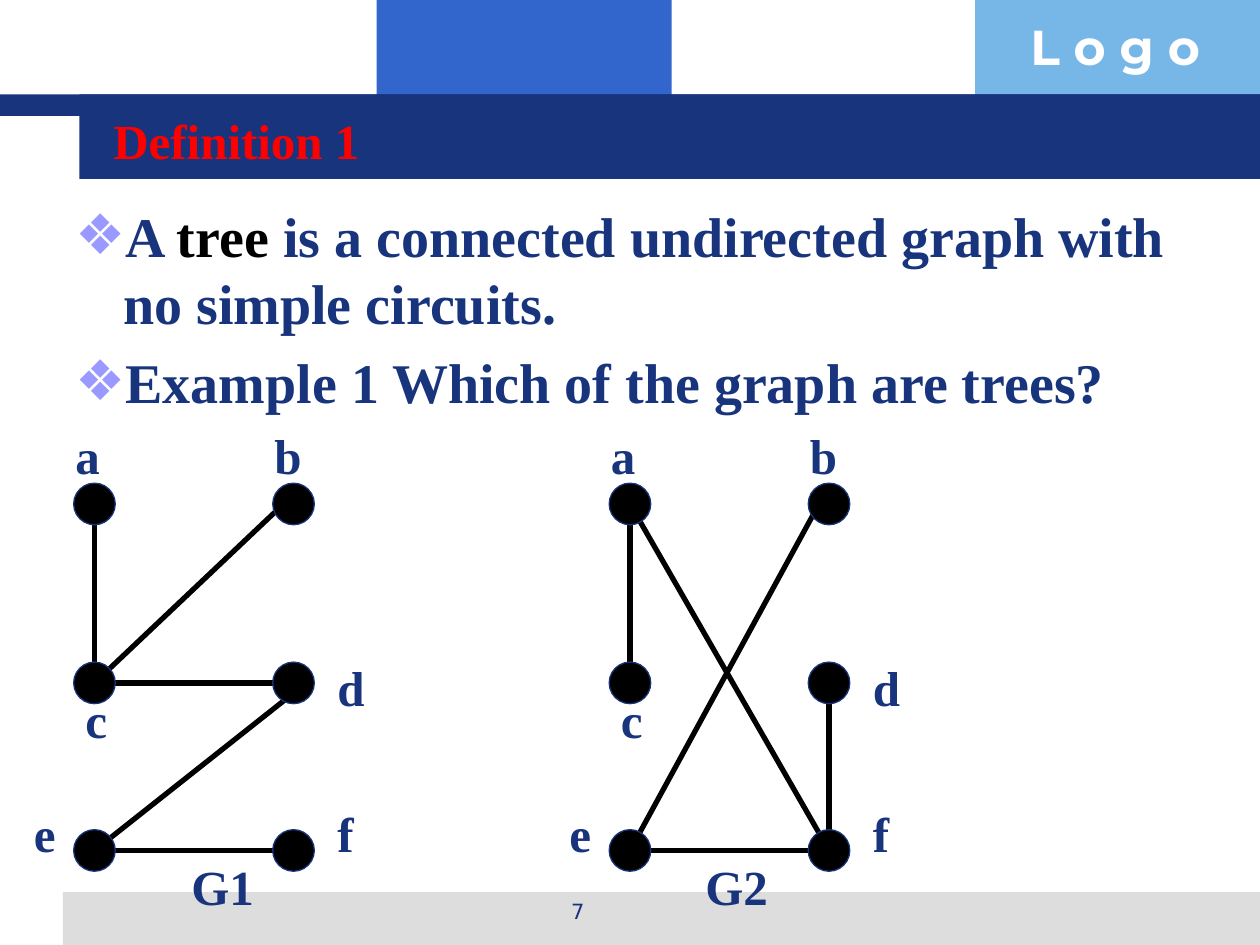
"""Build a slide that asks which of two graphs are trees."""
from lxml import etree
from pptx import Presentation
from pptx import util as u
from pptx.dml.color import RGBColor
from pptx.enum import shapes, text
from pptx.oxml import ns

WIDTH, HEIGHT = 10, 7.5
NAVY, BLACK, SERIF = "17347D", "000000", "Times New Roman"
DOT = 0.33
COLUMNS = (0.75, 2.33)
ROWS = (4, 5.42, 6.75)
NODES = {name: (COLUMNS[i % 2], ROWS[i // 2]) for i, name in enumerate("abcdef")}
LABELS = {"a": (0.5, 3.33), "b": (2.08, 3.33), "c": (0.58, 5.42),
          "d": (2.58, 5.17), "e": (0.17, 6.33), "f": (2.58, 6.33)}
NUDGES = {"bc": (-0.08, 0), "be": (-0.08, 0), "de": (0, 0.08)}
GRAPHS = (("G1", 0, 1.42, ("ac", "bc", "dc", "fe", "de")),
          ("G2", 4.25, 5.5, ("ac", "be", "fa", "fe", "df")))
BANDS = ((2.99, 0, 2.34, 0.92, "3366CC"), (7.74, 0, 2.26, 0.92, "77B7E7"),
         (0.5, 7.08, 9.5, 0.42, "DDDDDD"), (0, 0.75, 10, 0.17, NAVY),
         (0.63, 0.75, 9.37, 0.67, NAVY))
POINTS = (
    (("A ", NAVY), ("tree", BLACK),
     (" is a connected undirected graph with no simple circuits.", NAVY)),
    (("Example 1 Which of the graph are trees?", NAVY),),
)


def color(code):
    """Turn a hex string into a colour."""
    return RGBColor.from_string(code)


def inches(*values):
    """Turn numbers into lengths."""
    return [u.Inches(value) for value in values]


def write(para, words, size=28, font=SERIF, fill=NAVY, bold=True):
    """Add one formatted span to a paragraph."""
    span = para.add_run()
    span.text = words
    span.font.size, span.font.name, span.font.bold = u.Pt(size), font, bold
    span.font.color.rgb = color(fill)


def add_text(page, place, words, align=text.PP_ALIGN.LEFT, **look):
    """Add a text box with a single line."""
    box = page.shapes.add_textbox(*inches(*place))
    box.text_frame.word_wrap = True
    para = box.text_frame.paragraphs[0]
    para.alignment = align
    write(para, words, **look)


def add_solid(page, preset, place, fill, line=None):
    """Add a filled shape, outlined when a line colour is given."""
    shape = page.shapes.add_shape(preset, *inches(*place))
    shape.shadow.inherit = False
    shape.fill.solid()
    shape.fill.fore_color.rgb = color(fill)
    if line:
        shape.line.color.rgb, shape.line.width = color(line), u.Pt(0.75)
    else:
        shape.line.fill.background()


def add_edge(page, start, end):
    """Join two points with a thick black line."""
    edge = page.shapes.add_connector(shapes.MSO_CONNECTOR.STRAIGHT, *inches(*start, *end))
    edge.line.color.rgb, edge.line.width = color(BLACK), u.Pt(3)
    etree.SubElement(edge._element.spPr, ns.qn("a:effectLst"))


def add_title(page, words):
    """Place and fill the title placeholder."""
    title = page.shapes.title
    title.left, title.top, title.width, title.height = inches(0.8, 0.8, 8.53, 0.62)
    frame = title.text_frame
    frame.vertical_anchor = text.MSO_ANCHOR.MIDDLE
    frame.auto_size = text.MSO_AUTO_SIZE.NONE
    frame.paragraphs[0].alignment = text.PP_ALIGN.LEFT
    write(frame.paragraphs[0], words, fill="FF0000")


def add_bullet(para):
    """Give a paragraph a hanging lilac diamond bullet."""
    props = para._p.get_or_add_pPr()
    props.set("marL", str(u.Inches(0.38)))
    props.set("indent", str(u.Inches(-0.38)))
    tint = etree.SubElement(props, ns.qn("a:buClr"))
    etree.SubElement(tint, ns.qn("a:srgbClr"), val="9999FF")
    etree.SubElement(props, ns.qn("a:buFont"), typeface="DejaVu Sans")
    etree.SubElement(props, ns.qn("a:buChar"), char="❖")


def add_points(page):
    """Add the bulleted definition and question."""
    frame = page.shapes.add_textbox(*inches(0.5, 1.55, 9.33, 5.34)).text_frame
    frame.word_wrap = True
    for i, spans in enumerate(POINTS):
        para = frame.add_paragraph() if i else frame.paragraphs[0]
        add_bullet(para)
        if i:
            para.space_before = u.Pt(6.4)
        for words, fill in spans:
            write(para, words, size=32, fill=fill)


def add_graph(page, name, shift, name_left, edges):
    """Draw one graph with its nodes, edges, labels and name."""
    for start, end in edges:
        (x1, y1), (x2, y2) = NODES[start], NODES[end]
        dx, dy = NUDGES.get(start + end, (0, 0))
        add_edge(page, (x1 + shift + dx, y1 + dy), (x2 + shift, y2))
    for node, (x, y) in NODES.items():
        place = (x + shift - DOT / 2, y - DOT / 2, DOT, DOT)
        add_solid(page, shapes.MSO_SHAPE.OVAL, place, BLACK, NAVY)
        left, top = LABELS[node]
        add_text(page, (left + shift, top, 0.42, 0.57), node)
    add_text(page, (name_left, 6.75, 0.75, 0.57), name)


def main():
    """Build and save the slide."""
    deck = Presentation()
    deck.slide_width, deck.slide_height = inches(WIDTH, HEIGHT)
    page = deck.slides.add_slide(deck.slide_layouts.get_by_name("Title Only"))
    for *place, fill in BANDS:
        add_solid(page, shapes.MSO_SHAPE.RECTANGLE, place, fill)
    title = page.shapes.title._element
    page.shapes._spTree.append(title)
    add_title(page, "Definition 1")
    add_text(page, (8.08, 0.08, 1.93, 0.57), "L o g o", font="Montserrat", fill="FFFFFF")
    add_text(page, (3.42, 7.08, 2.33, 0.35), "7", align=text.PP_ALIGN.CENTER,
             size=12, font="DejaVu Sans", bold=False)
    add_points(page)
    for graph in GRAPHS:
        add_graph(page, *graph)
    deck.save("out.pptx")


if __name__ == "__main__":
    main()
